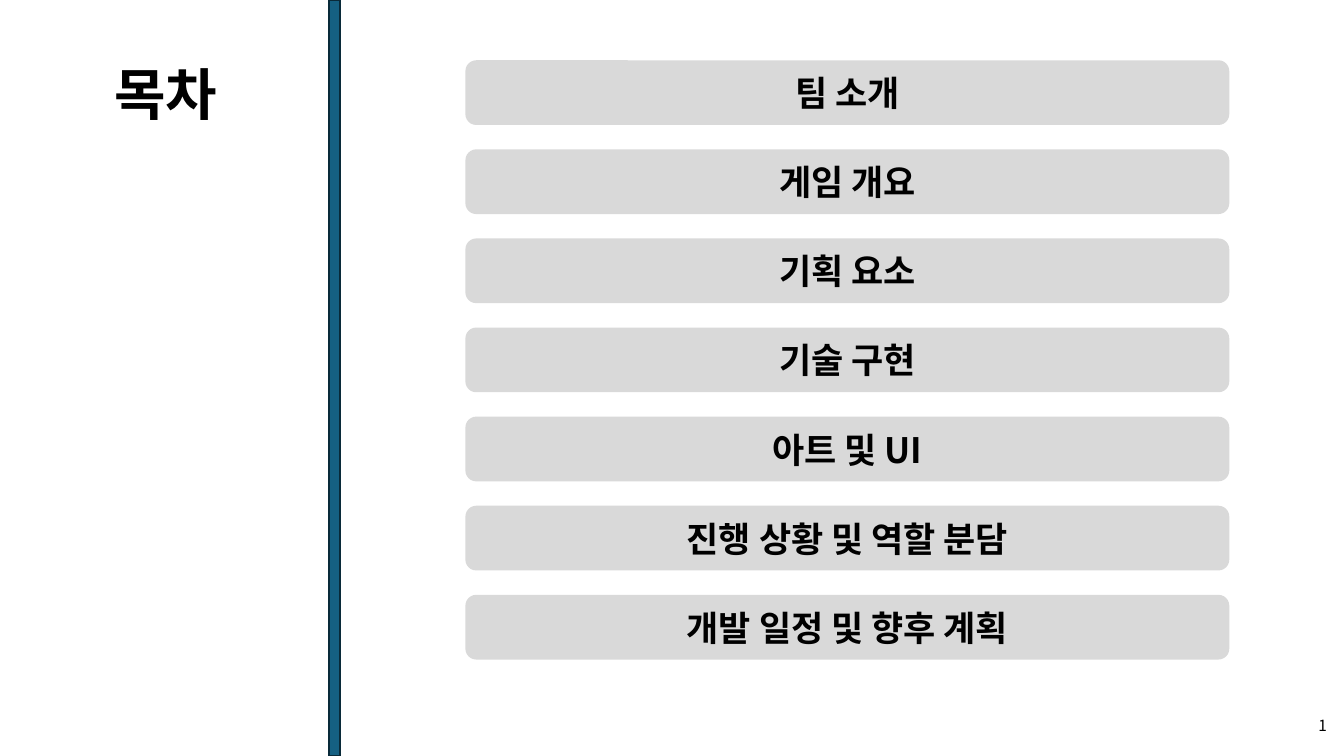
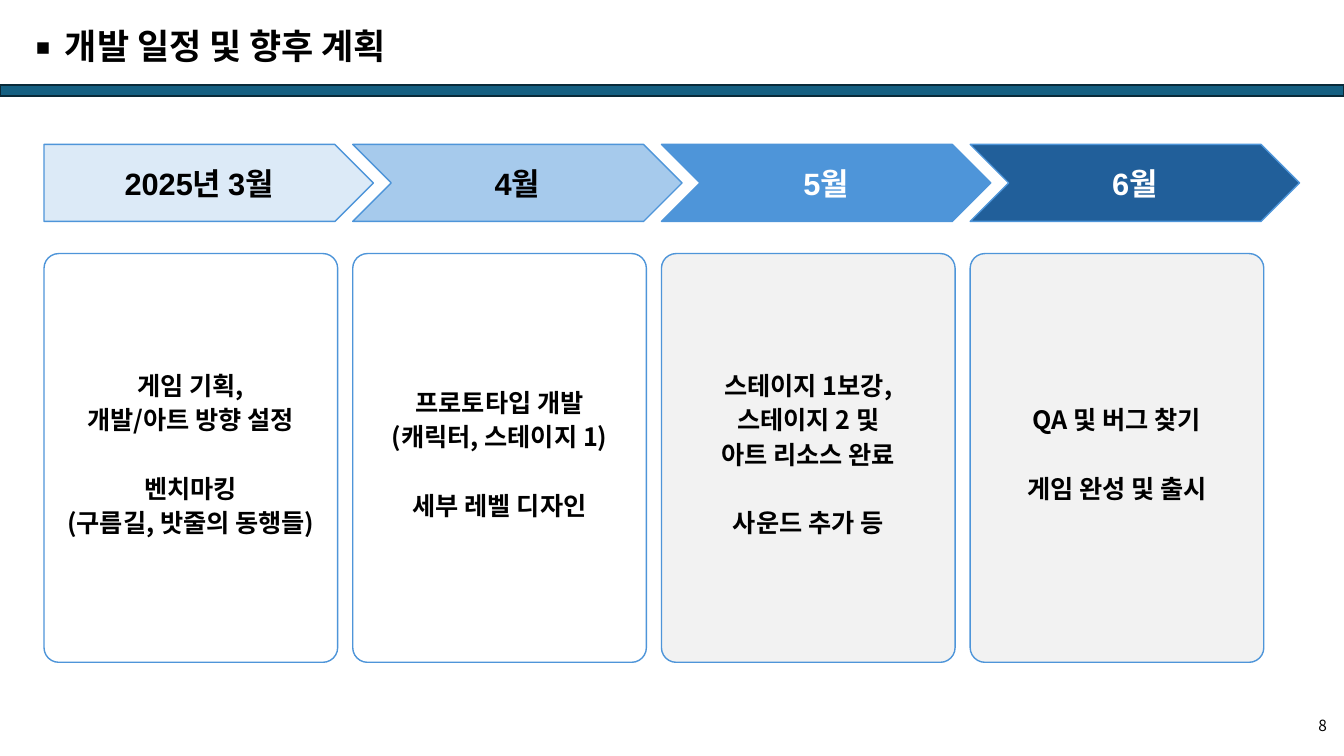
from pptx import Presentation
from pptx.dml.color import RGBColor
from pptx.enum.shapes import MSO_SHAPE as Shape
from pptx.enum.text import MSO_ANCHOR as Anchor, PP_ALIGN as Align
from pptx.oxml.ns import qn
from pptx.util import Cm, Pt
from lxml.etree import SubElement

COLORS = {
    "ink": "000000", "white": "FFFFFF", "band": "156082", "band_edge": "092A39",
    "agenda": "D9D9D9", "outline": "4E95D9", "upcoming": "F2F2F2",
    "march": "DCEAF7", "april": "A6CAEC", "may": "4E95D9", "june": "215F9A",
}
KOREAN = "Noto Sans CJK KR"
SLIDE_W, SLIDE_H = 33.87, 19.05
BAND = 0.28

TITLE = {"size": Pt(25), "bold": True}
COVER = {"size": Pt(40), "bold": True}
MONTH = {"size": Pt(22), "bold": True, "name": "Arial"}
BODY = {"size": Pt(18), "bold": True}
PAGE = {"size": Pt(11)}

BODY_LINE = Pt(24.5)
CENTERED = {"alignment": Align.CENTER}
NO_MARGINS = {f"margin_{side}": 0 for side in ("left", "top", "right", "bottom")}


def rgb(name):
    return RGBColor.from_string(COLORS[name])


def apply(target, values):
    for attribute, value in values.items():
        setattr(target, attribute, value)


def add_line(paragraph, words, style, color="ink", layout=CENTERED):
    """Write one paragraph in a single format."""
    apply(paragraph, layout)
    run = paragraph.add_run()
    run.text = words
    apply(run.font, {"name": KOREAN, **style})
    run.font.color.rgb = rgb(color)
    SubElement(run.font._element, qn("a:ea"), typeface=KOREAN)


def add_panel(slide, preset, box, fill=None, edge=None, weight=1, margins=None):
    """Place a preset shape in a (left, top, width, height) box in cm."""
    panel = slide.shapes.add_shape(preset, *map(Cm, box))
    panel.shadow.inherit = False
    if fill:
        panel.fill.solid()
        panel.fill.fore_color.rgb = rgb(fill)
    else:
        panel.fill.background()
    if edge:
        panel.line.color.rgb = rgb(edge)
        panel.line.width = Pt(weight)
    else:
        panel.line.fill.background()
    apply(panel.text_frame, {"vertical_anchor": Anchor.MIDDLE, **(margins or {})})
    return panel


def add_label(panel, words, style, color="ink"):
    add_line(panel.text_frame.paragraphs[0], words, style, color)


def add_band(slide, box):
    add_panel(slide, Shape.RECTANGLE, box, "band", "band_edge", 1.5)


def add_page_number(slide, number):
    # The bottom margin lifts the number inside its box
    margins = {**NO_MARGINS, "margin_bottom": Cm(0.5)}
    corner = add_panel(slide, Shape.ROUNDED_RECTANGLE,
                       (SLIDE_W - 1.03, 18.16, 0.99, 0.74), margins=margins)
    add_label(corner, str(number), PAGE)


def add_heading(slide, words, box):
    """Bulleted slide title above the horizontal band."""
    frame = slide.shapes.add_textbox(*map(Cm, box)).text_frame
    apply(frame, {**NO_MARGINS, "margin_left": Cm(0.2), "word_wrap": True,
                  "vertical_anchor": Anchor.MIDDLE})
    heading = frame.paragraphs[0]
    properties = heading._p.get_or_add_pPr()
    properties.set("marL", str(Cm(0.97)))
    properties.set("indent", str(-Cm(0.97)))
    SubElement(properties, qn("a:buSzPct"), val="120000")
    SubElement(properties, qn("a:buFont"), typeface=KOREAN)
    SubElement(properties, qn("a:buChar"), char="▪")
    add_line(heading, words, TITLE, layout={})


def add_agenda(slide, topics, box):
    """Stack one bar per topic with equal gaps."""
    left, top, width, height = box
    bar_height = 1.63
    pitch = (height - bar_height) / (len(topics) - 1)
    for row, topic in enumerate(topics):
        bar = add_panel(slide, Shape.FLOWCHART_ALTERNATE_PROCESS,
                        (left, top + row * pitch, width, bar_height), "agenda")
        add_label(bar, topic, TITLE)


def add_tasks(slide, groups, box, fill):
    """Card of task groups, set apart by one line of space."""
    card = add_panel(slide, Shape.ROUNDED_RECTANGLE, box, fill, "outline",
                     margins={**NO_MARGINS, "margin_bottom": Cm(0.3)})
    card.adjustments[0] = 0.05
    frame = card.text_frame
    for index, group in enumerate(groups):
        for position, task in enumerate(group):
            first = index == position == 0
            paragraph = frame.paragraphs[0] if first else frame.add_paragraph()
            gap = BODY_LINE if index and not position else Pt(0)
            add_line(paragraph, task, BODY, layout={
                **CENTERED, "line_spacing": BODY_LINE, "space_before": gap})


def add_timeline(slide, months, box):
    """One arrow and one task card per month."""
    left, top, width, height = box
    gap, arrow_height, card_offset = 0.38, 1.94, 2.75
    card_width = (width - gap * (len(months) - 1)) / len(months)
    for column, (month, fill, color, card_fill, groups) in enumerate(months):
        x = left + column * (card_width + gap)
        preset = Shape.CHEVRON if column else Shape.PENTAGON
        arrow = add_panel(slide, preset, (x, top, card_width + 0.9, arrow_height),
                          fill, "outline", margins=NO_MARGINS)
        add_label(arrow, month, MONTH, color)
        add_tasks(slide, groups,
                  (x, top + card_offset, card_width, height - card_offset), card_fill)


TOPICS = ["팀 소개", "게임 개요", "기획 요소", "기술 구현", "아트 및 UI",
          "진행 상황 및 역할 분담", "개발 일정 및 향후 계획"]

# Month, arrow fill, text colour, card fill, task groups
MONTHS = [
    ("2025년 3월", "march", "ink", None,
     [["게임 기획,", "개발/아트 방향 설정"], ["벤치마킹", "(구름길, 밧줄의 동행들)"]]),
    ("4월", "april", "ink", None,
     [["프로토타입 개발", "(캐릭터, 스테이지 1)"], ["세부 레벨 디자인"]]),
    ("5월", "may", "white", "upcoming",
     [["스테이지 1보강,", "스테이지 2 및", "아트 리소스 완료"], ["사운드 추가 등"]]),
    ("6월", "june", "white", "upcoming",
     [["QA 및 버그 찾기"], ["게임 완성 및 출시"]]),
]


def build_contents(slide):
    add_band(slide, (8.3, 0, BAND, SLIDE_H))
    cover = add_panel(slide, Shape.PARALLELOGRAM, (0.33, 1.04, 7.7, 2.62))
    cover.adjustments[0] = 0
    add_label(cover, "목차", COVER)
    add_agenda(slide, TOPICS, (11.73, 1.52, 19.25, 15.1))
    add_page_number(slide, 1)


def build_schedule(slide):
    add_band(slide, (0, 2.15, SLIDE_W, BAND))
    add_heading(slide, TOPICS[-1], (0.38, 0.43, 25.3, 1.45))
    add_page_number(slide, 8)
    add_timeline(slide, MONTHS, (1.11, 3.64, 30.74, 13.05))


def main():
    deck = Presentation()
    apply(deck, {"slide_width": Cm(SLIDE_W), "slide_height": Cm(SLIDE_H)})
    for build in (build_contents, build_schedule):
        build(deck.slides.add_slide(deck.slide_layouts[6]))
    deck.save("out.pptx")


if __name__ == "__main__":
    main()
